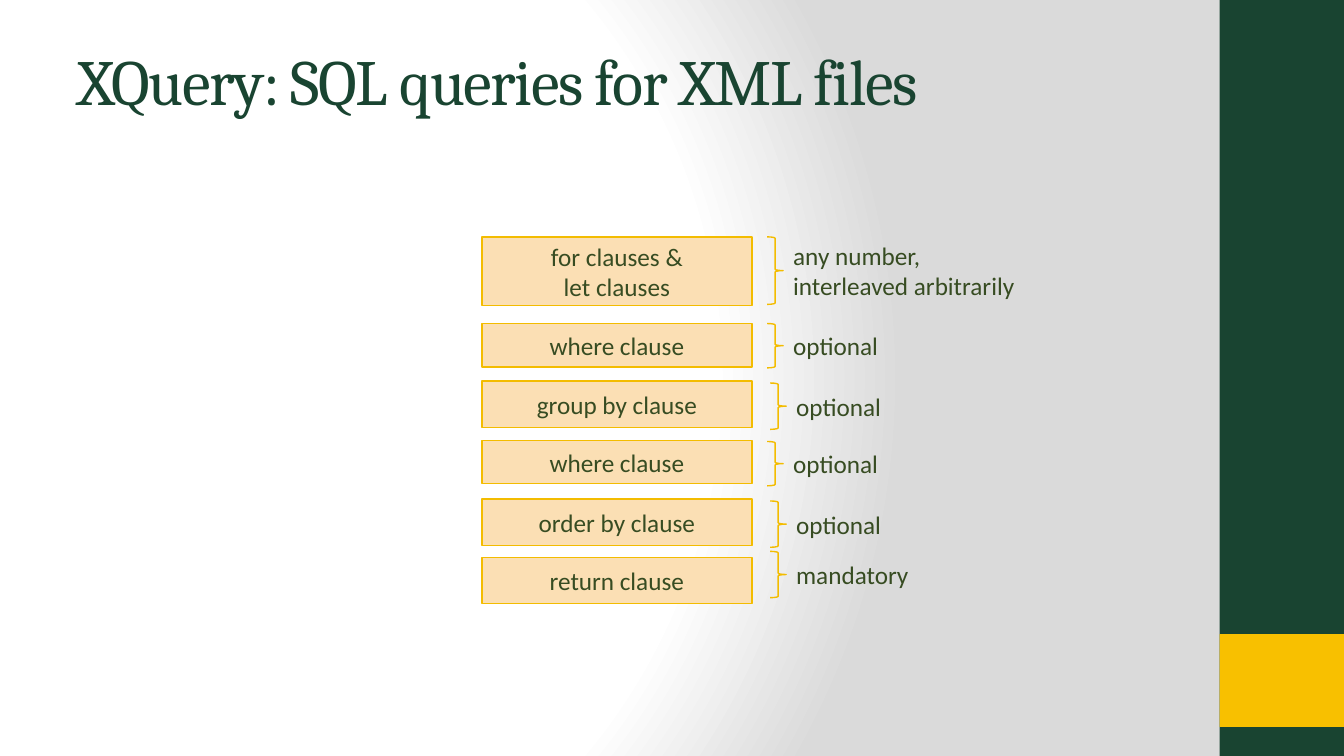
from pptx import Presentation
from pptx.dml.color import RGBColor as Rgb
from pptx.enum.shapes import MSO_SHAPE as Kind
from pptx.enum.text import MSO_ANCHOR as Anchor, PP_ALIGN as Align
from pptx.oxml import parse_xml
from pptx.oxml.ns import nsdecls, qn
from pptx.util import Inches, Pt

GREEN, GOLD, SAND, LEAF = "194431", "F8C000", "FBDFB4", "374C22"
EDGE = "F3BC00"


def tint(code):
    return Rgb.from_string(code)


def write(frame, text, size=18, font="Calibri", color=LEAF, align=Align.LEFT,
          anchor=Anchor.MIDDLE, wrap=True, space=0):
    frame.word_wrap = wrap
    frame.vertical_anchor = anchor
    para = frame.paragraphs[0]
    para.text = text
    para.alignment = align
    for run in para.runs:
        run.font.size = Pt(size)
        run.font.name = font
        run.font.color.rgb = tint(color)
        if space:
            run.font._element.set("spc", str(space * 100))


class Deck:
    cell = Inches(0.1)
    cols, rows = 133.33, 75

    def __init__(self):
        self.file = Presentation()
        self.file.slide_width = self.size(self.cols)
        self.file.slide_height = self.size(self.rows)
        self.slide = self.file.slides.add_slide(self.file.slide_layouts[6])

    def size(self, count):
        return round(count * self.cell)

    def place(self, *box):
        return [self.size(part) for part in box]

    def glow(self, stops):
        self.slide.background.fill.solid()
        marks = "".join(
            f'<a:gs pos="{share * 1000}"><a:srgbClr val="{code}"/></a:gs>'
            for share, code in stops)
        grad = parse_xml(
            f'<a:gradFill {nsdecls("a")} rotWithShape="1"><a:gsLst>{marks}</a:gsLst>'
            '<a:path path="circle"><a:fillToRect l="20000" t="50000" '
            'r="100000" b="50000"/></a:path></a:gradFill>')
        back = self.slide._element.find(".//" + qn("p:bgPr"))
        back.replace(back.find(qn("a:solidFill")), grad)

    def shape(self, kind, *box, fill=None, line=None):
        item = self.slide.shapes.add_shape(kind, *self.place(*box))
        item.shadow.inherit = False
        if fill:
            item.fill.solid()
            item.fill.fore_color.rgb = tint(fill)
        else:
            item.fill.background()
        if line:
            item.line.color.rgb = tint(line)
            item.line.width = Pt(1)
        else:
            item.line.fill.background()
        return item

    def text(self, words, *box, **style):
        item = self.slide.shapes.add_textbox(*self.place(*box))
        write(item.text_frame, words, **style)

    def clause(self, words, top, high):
        item = self.shape(Kind.RECTANGLE, 47.8, top, 26.8, high, fill=SAND, line=EDGE)
        write(item.text_frame, words, align=Align.CENTER)

    def note(self, words, left, top, high, wide):
        thick = 1.6
        self.shape(Kind.RIGHT_BRACE, left, top, thick, high, line=EDGE)
        tall = 4 + 3.1 * words.count("\n")
        self.text(words, left + thick, top + (high - tall) / 2, wide, tall, wrap=False)


def main():
    deck = Deck()
    deck.glow([(0, "FFFFFF"), (75, "FFFFFF"), (100, "DADADA")])
    side = 121
    for top, high, fill in [(0, deck.rows, GREEN), (62.9, 9.2, GOLD)]:
        deck.shape(Kind.RECTANGLE, side, top, deck.cols - side, high, fill=fill)
    deck.text("XQuery: SQL queries for XML files", 6.7, 3.6, 111.1, 12.5,
              size=46, font="Cambria", color=GREEN, anchor=Anchor.TOP, space=-1)

    near, far = 76.1, 76.4
    steps = [
        ("for clauses &\nlet clauses", 23.5, 6.8,
         "any number,\ninterleaved arbitrarily", near, 23.5, 6.7, 24.2),
        ("where clause", 32.1, 4.3, "optional", near, 32.1, 4.4, 10.5),
        ("group by clause", 37.8, 4.6, "optional", far, 38, 4.6, 10.5),
        ("where clause", 43.7, 4.3, "optional", near, 43.8, 4.4, 10.5),
        ("order by clause", 49.5, 4.6, "optional", far, 49.7, 4.6, 10.5),
        ("return clause", 55.3, 4.6, "mandatory", far, 54.7, 4.6, 13.3),
    ]
    for name, top, high, *note in steps:
        deck.clause(name, top, high)
        deck.note(*note)
    deck.file.save("out.pptx")


if __name__ == "__main__":
    main()
